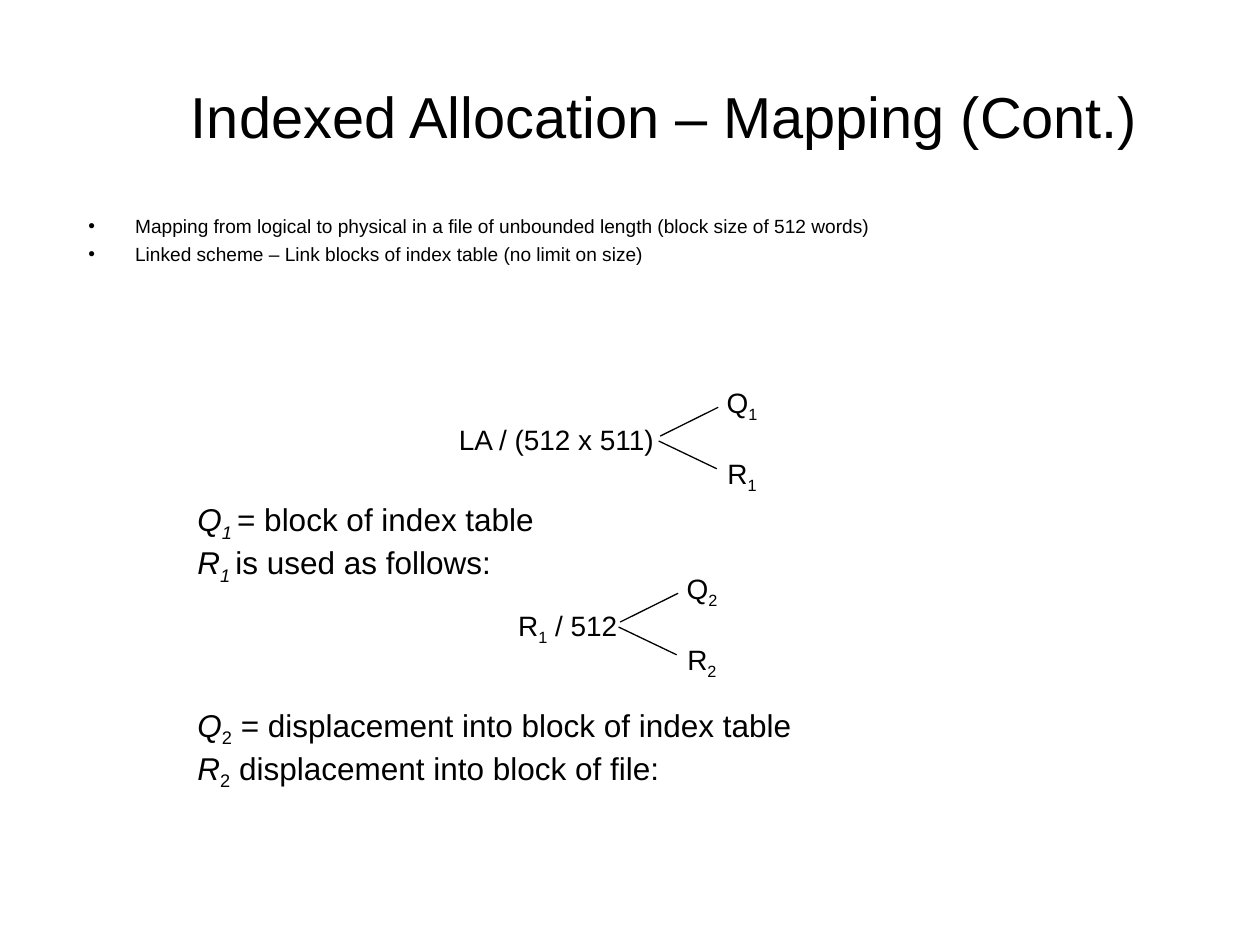
from dataclasses import dataclass

from lxml import etree
from pptx import Presentation
from pptx import util as u
from pptx.dml.color import RGBColor
from pptx.enum import shapes, text
from pptx.oxml import ns

Cm, Pt = u.Cm, u.Pt


@dataclass(frozen=True)
class Theme:
    """Hold the colours and type sizes of the slide."""
    ink: RGBColor = RGBColor(0, 0, 0)
    paper: RGBColor = RGBColor(255, 255, 255)
    font: str = "Arial"
    title: float = 33
    list: float = 10.9
    label: float = 16
    note: float = 18
    line: float = 0.75


THEME = Theme()


def add_runs(para, runs, size):
    """Add (words, style) runs; style may hold i (italic) and s (subscript)."""
    for words, style in runs:
        run = para.add_run()
        run.text = words
        font = run.font
        font.name, font.size = THEME.font, Pt(size)
        font.color.rgb = THEME.ink
        font.italic = "i" in style
        if "s" in style:
            run._r.get_or_add_rPr().set("baseline", "-25000")


def add_paras(frame, rows, size):
    """Fill a frame with one paragraph per row and return the paragraphs."""
    paras = []
    for k, runs in enumerate(rows):
        para = frame.add_paragraph() if k else frame.paragraphs[0]
        add_runs(para, runs, size)
        paras.append(para)
    return paras


def set_indent(para, left, first):
    """Set the left margin and first-line indent of a paragraph."""
    props = para._p.get_or_add_pPr()
    props.set("marL", str(Cm(left)))
    props.set("indent", str(Cm(first)))


def place(shape, box):
    """Move a shape to a box given in centimetres."""
    shape.left, shape.top, shape.width, shape.height = map(Cm, box)


def add_title(slide, box, words):
    """Place the title."""
    shape = slide.shapes.title
    place(shape, box)
    frame = shape.text_frame
    frame.auto_size = text.MSO_AUTO_SIZE.NONE
    frame.vertical_anchor = text.MSO_ANCHOR.MIDDLE
    para, = add_paras(frame, [[(words, "")]], THEME.title)
    para.alignment = text.PP_ALIGN.CENTER


def add_list(slide, box, items):
    """Place the bulleted list."""
    shape = slide.placeholders[1]
    place(shape, box)
    frame = shape.text_frame
    frame.auto_size = text.MSO_AUTO_SIZE.NONE
    for para in add_paras(frame, [[(item, "")] for item in items], THEME.list):
        para.alignment = text.PP_ALIGN.JUSTIFY
        para.line_spacing = 1.2
        para.space_before = Pt(0)
        set_indent(para, 0.97, -0.94)


def add_label(slide, box, runs):
    """Place a centred one-line label."""
    frame = slide.shapes.add_textbox(*map(Cm, box)).text_frame
    frame.word_wrap = False
    frame.auto_size = text.MSO_AUTO_SIZE.SHAPE_TO_FIT_TEXT
    frame.vertical_anchor = text.MSO_ANCHOR.MIDDLE
    para, = add_paras(frame, [runs], THEME.label)
    para.alignment = text.PP_ALIGN.CENTER
    para.space_before = Pt(8)


def add_line(slide, *ends):
    """Draw a thin straight line."""
    line = slide.shapes.add_connector(
        shapes.MSO_CONNECTOR.STRAIGHT, *map(Cm, ends))
    line.line.color.rgb = THEME.ink
    line.line.width = Pt(THEME.line)
    etree.SubElement(line._element.spPr, ns.qn("a:effectLst"))


def add_fork(slide, box, stem, runs, index):
    """Place a division that forks into quotient and remainder."""
    x, y, w, h = box
    tip = x + w - 1.12
    add_label(slide, (x, y + 0.74, *stem), runs)
    for name, top in (("Q", y), ("R", y + h - 1.02)):
        add_label(slide, (tip, top, 1.12, 1.02), [(name, ""), (index, "s")])
    add_line(slide, tip - 1.09, y + 1.14, tip + 0.08, y + 0.56)
    add_line(slide, tip - 1.12, y + 1.24, tip + 0.05, y + 1.8)


def add_notes(slide, box, rows):
    """Place the explanation lines below a fork."""
    frame = slide.shapes.add_textbox(*map(Cm, box)).text_frame
    frame.word_wrap = True
    for para in add_paras(frame, rows, THEME.note):
        set_indent(para, 1.75, -0.79)


def main():
    """Build and save the slide."""
    deck = Presentation()
    deck.slide_width, deck.slide_height = Cm(25.4), Cm(19.05)
    slide = deck.slides.add_slide(deck.slide_layouts[1])
    fill = slide.background.fill
    fill.solid()
    fill.fore_color.rgb = THEME.paper

    add_title(slide, (2.69, 0.76, 21.41, 3.15),
              "Indexed Allocation – Mapping (Cont.)")
    add_list(slide, (1.5, 4.11, 21.21, 4.09), [
        "Mapping from logical to physical in a file of unbounded length "
        "(block size of 512 words)",
        "Linked scheme – Link blocks of index table (no limit on size)"])
    add_fork(slide, (8.99, 7.65, 6.53, 2.44), (4.45, 0.94),
             [("LA / (512 x 511)", "")], "1")
    add_notes(slide, (2.77, 9.96, 19.53, 2.06), [
        [("Q", "i"), ("1 ", "is"), ("= block of index table", "")],
        [("R", "i"), ("1 ", "is"), ("is used as follows:", "")]])
    add_fork(slide, (10.19, 11.4, 4.52, 2.44), (2.51, 1.02),
             [("R", ""), ("1", "s"), (" / 512", "")], "2")
    add_notes(slide, (2.77, 14.1, 19.53, 2.06), [
        [("Q", "i"), ("2", "s"),
         (" = displacement into block of index table", "")],
        [("R", "i"), ("2", "s"), (" displacement into block of file:", "")]])
    deck.save("out.pptx")


if __name__ == "__main__":
    main()
